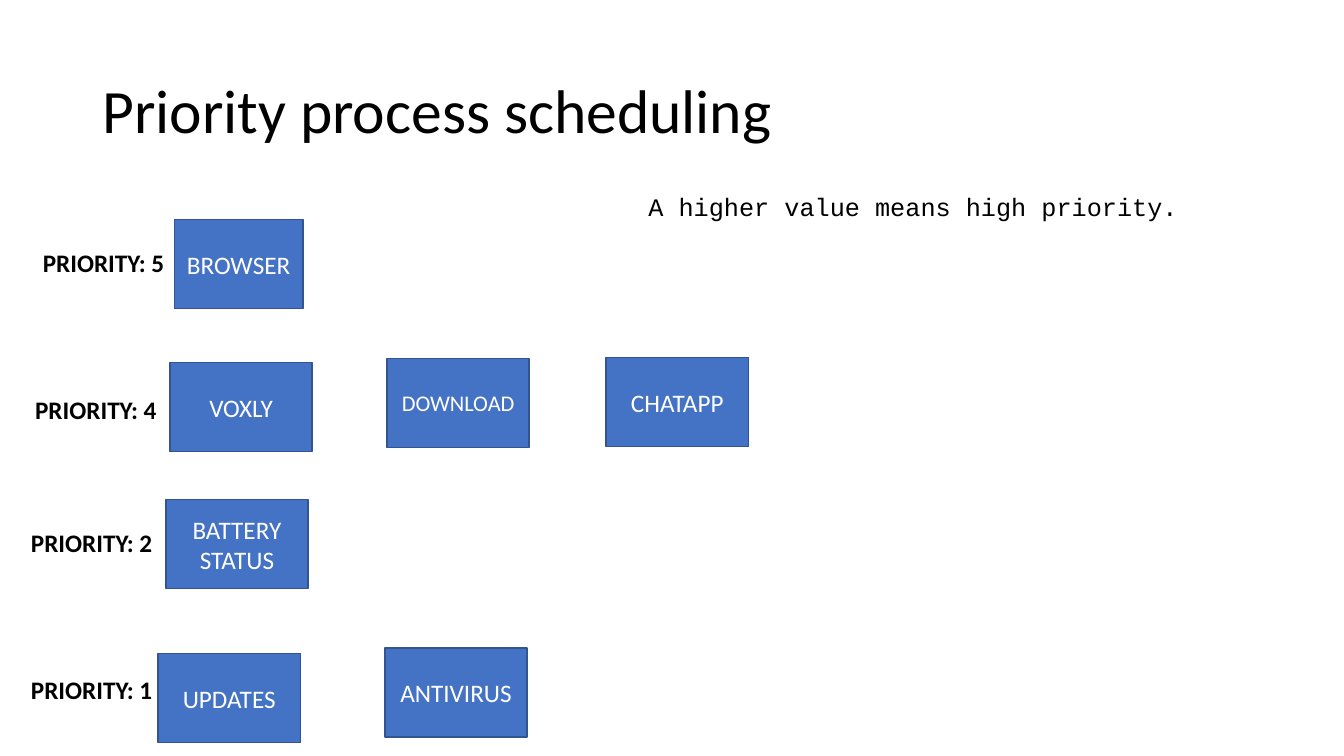
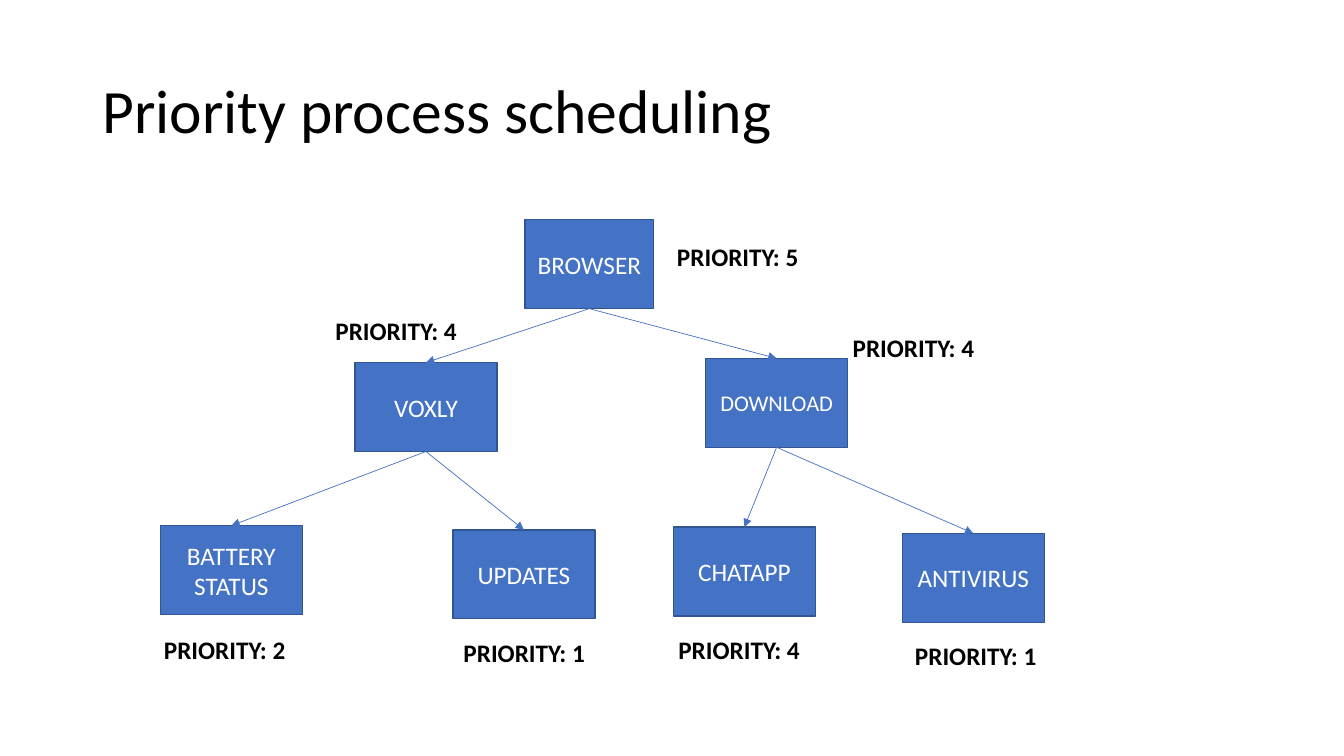
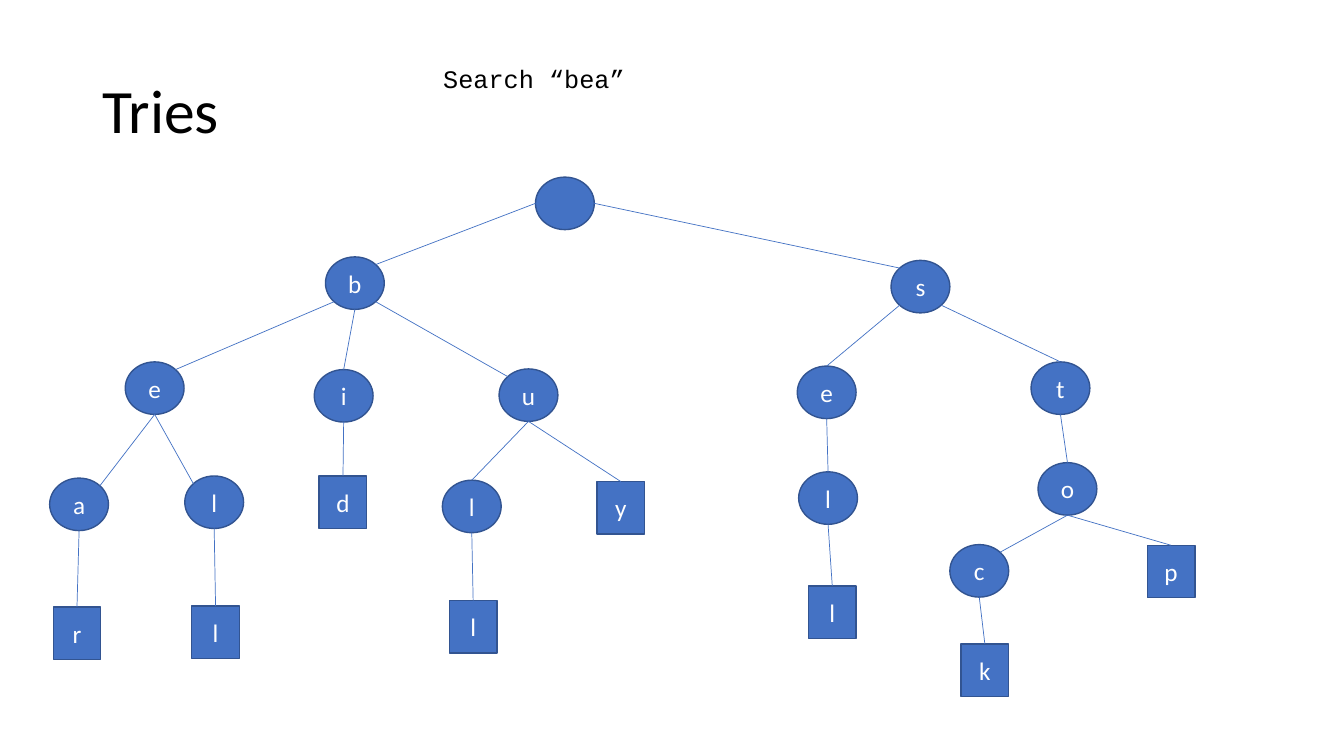
"""Builds three slides on priority scheduling and tries."""
from dataclasses import dataclass

from lxml import etree
from pptx import Presentation
from pptx.dml.color import RGBColor
from pptx.enum import shapes, text
from pptx.oxml import ns
from pptx.util import Pt

BLUE, OUTLINE, BLACK, WHITE = "4472C4", "325491", "000000", "FFFFFF"
BODY, MONO = "Calibri", "Courier New"
BOX_HEIGHT = 63.5
LABEL_WIDTH, LABEL_HEIGHT = 119, 29
OVAL_WIDTH, LEAF_WIDTH, NODE_HEIGHT = 42, 34, 37.5
DIAGONAL = 0.5 ** 0.5 / 2
PORTS = {
    "top": (0, -0.5), "bottom": (0, 0.5), "left": (-0.5, 0), "right": (0.5, 0),
    "top left": (-DIAGONAL, -DIAGONAL), "top right": (DIAGONAL, -DIAGONAL),
    "bottom left": (-DIAGONAL, DIAGONAL), "bottom right": (DIAGONAL, DIAGONAL),
}


@dataclass(frozen=True)
class Process:
    """A process with its priority and the look of its box."""
    name: str
    priority: int
    width: float = 101.5
    size: int = 18


@dataclass(frozen=True)
class Place:
    """The top left corner of a process box."""
    process: Process
    left: float
    top: float


@dataclass(frozen=True)
class PriorityLabel:
    """The top left corner of a priority label."""
    priority: int
    left: float
    top: float


@dataclass(frozen=True)
class TrieNode:
    """A trie node named by its prefix, with the ports of the edge above it."""
    prefix: str
    left: float
    top: float
    leave: str = "bottom"
    enter: str = "top"


BROWSER = Process("BROWSER", 5, width=92)
CALLS = Process("VOXLY", 4)
DOWNLOAD = Process("DOWNLOAD", 4, size=16)
BATTERY = Process("BATTERY\nSTATUS", 2)
UPDATES = Process("UPDATES", 1)
CHAT = Process("CHATAPP", 4)
ANTIVIRUS = Process("ANTIVIRUS", 1)

QUEUE = [
    Place(BROWSER, 124.5, 157), Place(CALLS, 121.5, 259),
    Place(DOWNLOAD, 276.5, 256), Place(BATTERY, 118.5, 357),
    Place(UPDATES, 113, 467), Place(ANTIVIRUS, 275, 463),
    Place(CHAT, 433, 255.5),
]
QUEUE_LABELS = [
    PriorityLabel(5, 23.5, 173), PriorityLabel(4, 18, 278),
    PriorityLabel(2, 15, 373), PriorityLabel(1, 15, 478),
]
HEAP = [
    Place(BROWSER, 375, 157), Place(CALLS, 253.5, 259),
    Place(DOWNLOAD, 504, 256), Place(BATTERY, 114.5, 375.5),
    Place(UPDATES, 323.5, 378.5), Place(CHAT, 481, 376.5),
    Place(ANTIVIRUS, 644.5, 381),
]
HEAP_LABELS = [
    PriorityLabel(5, 476.5, 168.5), PriorityLabel(4, 232.5, 222),
    PriorityLabel(4, 602, 234), PriorityLabel(2, 110, 449.5),
    PriorityLabel(1, 324, 452), PriorityLabel(4, 477.5, 449.5),
    PriorityLabel(1, 646.5, 453.5),
]
TRIE = [
    TrieNode("", 382.5, 126.5),
    TrieNode("b", 232.5, 183.5, "left", "top right"),
    TrieNode("s", 636.5, 186, "right", "top left"),
    TrieNode("be", 89.5, 258.5, "bottom left", "top right"),
    TrieNode("bi", 224.5, 264),
    TrieNode("bu", 356.5, 263.5, "bottom right", "top left"),
    TrieNode("se", 569.5, 261.5, "bottom left"),
    TrieNode("st", 736.5, 258.5, "bottom right"),
    TrieNode("bea", 35.5, 341.5, enter="top right"),
    TrieNode("bel", 132, 340, enter="top left"),
    TrieNode("bid", 228, 340),
    TrieNode("bul", 316, 343),
    TrieNode("buy", 426.5, 344),
    TrieNode("sel", 570.5, 337),
    TrieNode("sto", 741.5, 330.5),
    TrieNode("bear", 38, 433.5),
    TrieNode("bell", 137, 433),
    TrieNode("bull", 321, 429),
    TrieNode("sell", 577.5, 418.5),
    TrieNode("stoc", 678.5, 389, enter="top right"),
    TrieNode("stop", 819.5, 389.5),
    TrieNode("stock", 686.5, 460),
]


def color(value: str) -> RGBColor:
    """Turn a hex string into a colour."""
    return RGBColor.from_string(value)


def style(frame, size: float, ink: str, face: str = BODY, bold: bool = False,
          align=text.PP_ALIGN.LEFT) -> None:
    """Format every paragraph and run of a text frame."""
    for paragraph in frame.paragraphs:
        paragraph.alignment = align
        for run in paragraph.runs:
            run.font.size, run.font.name, run.font.bold = Pt(size), face, bold
            run.font.color.rgb = color(ink)


def titled_slide(deck, heading: str):
    """Add a title-only slide with the shared title style."""
    slide = deck.slides.add_slide(deck.slide_layouts[5])
    title = slide.shapes.title
    title.left, title.top, title.width, title.height = Pt(66), Pt(29), Pt(828), Pt(104.5)
    frame = title.text_frame
    frame.text = heading
    frame.auto_size = text.MSO_AUTO_SIZE.NONE
    frame.vertical_anchor = text.MSO_ANCHOR.MIDDLE
    frame.paragraphs[0].line_spacing = 0.9
    style(frame, 44, BLACK)
    return slide


def caption(slide, words: str, left: float, top: float, width: float,
            face: str = BODY, bold: bool = False) -> None:
    """Add a one-line text box."""
    box = slide.shapes.add_textbox(Pt(left), Pt(top), Pt(width), Pt(LABEL_HEIGHT))
    box.text_frame.word_wrap = True
    box.text_frame.auto_size = text.MSO_AUTO_SIZE.SHAPE_TO_FIT_TEXT
    box.text_frame.text = words
    style(box.text_frame, 18, BLACK, face, bold)


def filled_shape(slide, kind, words: str, left: float, top: float,
                 width: float, height: float, size: int = 18):
    """Add a blue shape with centred white text."""
    shape = slide.shapes.add_shape(kind, Pt(left), Pt(top), Pt(width), Pt(height))
    shape.shadow.inherit = False
    shape.fill.solid()
    shape.fill.fore_color.rgb = color(BLUE)
    shape.line.color.rgb = color(OUTLINE)
    shape.line.width = Pt(1)
    shape.text_frame.text = words
    shape.text_frame.word_wrap = True
    shape.text_frame.vertical_anchor = text.MSO_ANCHOR.MIDDLE
    style(shape.text_frame, size, WHITE, align=text.PP_ALIGN.CENTER)
    return shape


def port(shape, name: str) -> tuple[int, int]:
    """Find the point of a named port on a shape's outline."""
    across, down = PORTS[name]
    return (round(shape.left + shape.width * (0.5 + across)),
            round(shape.top + shape.height * (0.5 + down)))


def edge(slide, start: tuple[int, int], end: tuple[int, int], arrow: bool = False):
    """Draw a thin straight connector, with an arrowhead if asked."""
    link = slide.shapes.add_connector(shapes.MSO_CONNECTOR.STRAIGHT, *start, *end)
    link.line.color.rgb = color(BLUE)
    link.line.width = Pt(0.5)
    if arrow:
        etree.SubElement(link.line._get_or_add_ln(), ns.qn("a:tailEnd"), type="triangle")
    etree.SubElement(link._element.spPr, ns.qn("a:effectLst"))
    return link


def processes(slide, places: list[Place], labels: list[PriorityLabel]) -> list:
    """Draw process boxes and priority labels, and return the boxes."""
    boxes = [filled_shape(slide, shapes.MSO_SHAPE.RECTANGLE, place.process.name,
                          place.left, place.top, place.process.width, BOX_HEIGHT,
                          place.process.size) for place in places]
    for label in labels:
        caption(slide, f"PRIORITY: {label.priority}", label.left, label.top,
                LABEL_WIDTH, bold=True)
    return boxes


def queue_slide(deck) -> None:
    """List the processes by priority."""
    slide = titled_slide(deck, "Priority process scheduling")
    processes(slide, QUEUE, QUEUE_LABELS)
    caption(slide, "A higher value means high priority.", 456, 133, 405.5, MONO)


def heap_slide(deck) -> None:
    """Show the processes as a binary heap."""
    slide = titled_slide(deck, "Priority process scheduling")
    boxes = processes(slide, HEAP, HEAP_LABELS)
    for index, child in enumerate(boxes[1:]):
        parent = boxes[index // 2]
        link = edge(slide, port(parent, "bottom"), port(child, "top"), arrow=True)
        link.begin_connect(parent, 2)
        link.end_connect(child, 0)


def trie_slide(deck) -> None:
    """Show the trie, with square nodes where words end."""
    slide = titled_slide(deck, "Tries")
    caption(slide, "Search “bea”", 309.5, 42, 510.5, MONO)
    parents = {node.prefix[:-1] for node in TRIE}
    drawn = {}
    for node in TRIE:
        inner = node.prefix in parents
        kind = shapes.MSO_SHAPE.OVAL if inner else shapes.MSO_SHAPE.RECTANGLE
        drawn[node.prefix] = filled_shape(
            slide, kind, node.prefix[-1:], node.left, node.top,
            OVAL_WIDTH if inner else LEAF_WIDTH, NODE_HEIGHT)
    for node in TRIE[1:]:
        edge(slide, port(drawn[node.prefix[:-1]], node.leave),
             port(drawn[node.prefix], node.enter))


def main() -> None:
    """Build and save the deck."""
    deck = Presentation()
    deck.slide_width, deck.slide_height = Pt(960), Pt(540)
    queue_slide(deck)
    heap_slide(deck)
    trie_slide(deck)
    deck.save("out.pptx")


if __name__ == "__main__":
    main()
